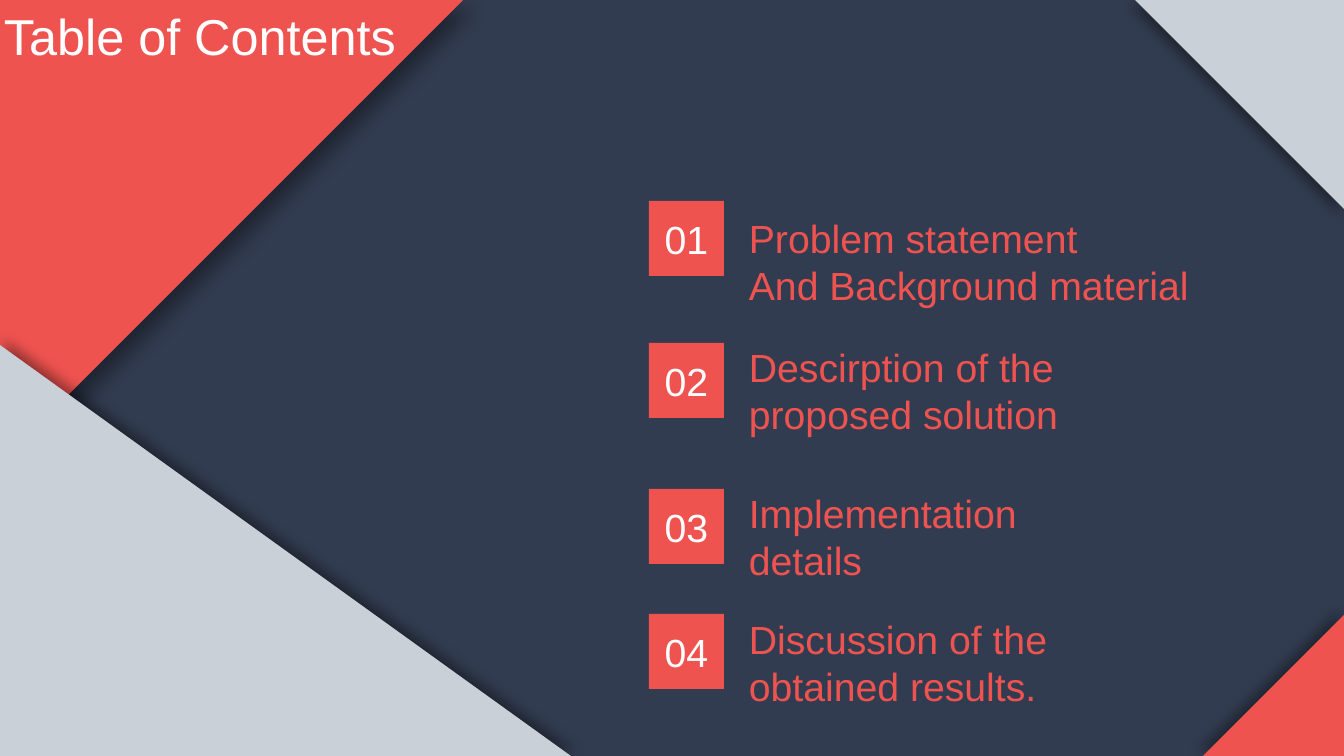
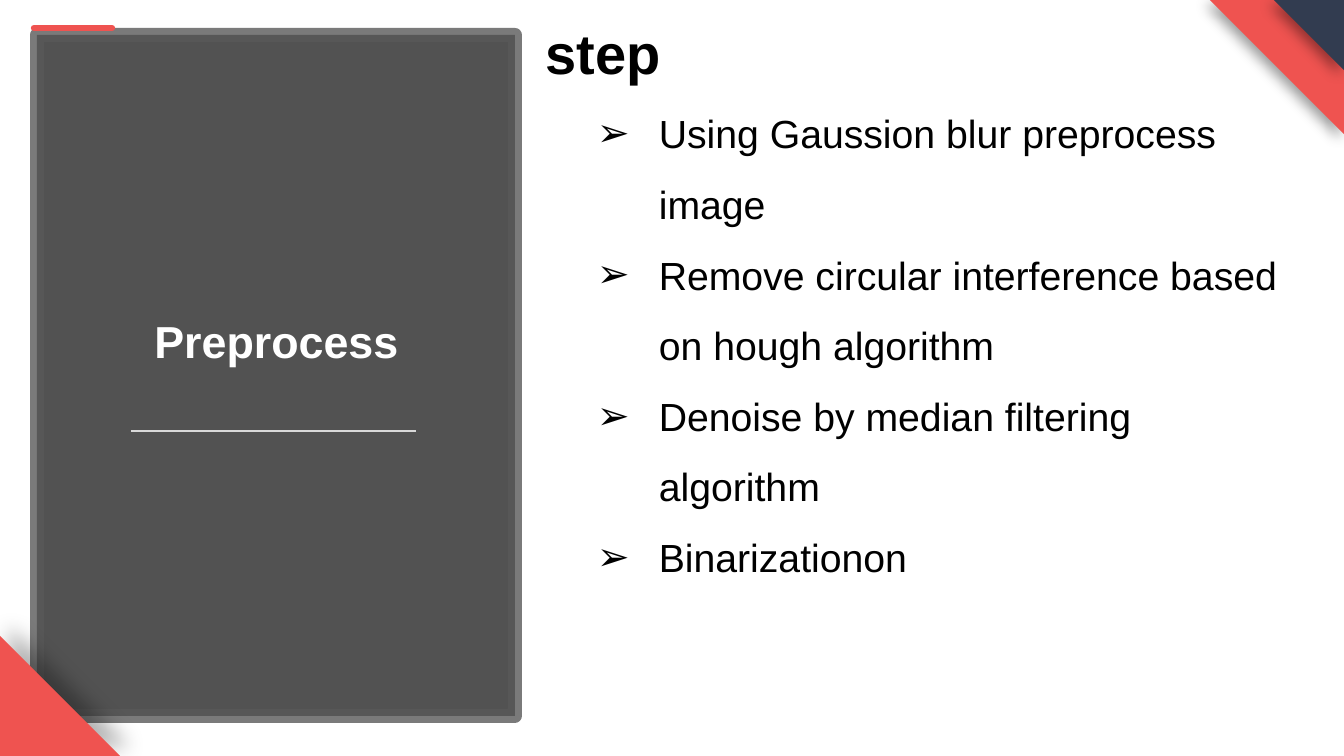
from lxml import etree
from pptx import Presentation
from pptx import util as u
from pptx.dml.color import RGBColor
from pptx.enum import shapes, text
from pptx.oxml.ns import qn

NAVY = RGBColor(0x32, 0x3C, 0x50)
CORAL = RGBColor(0xEF, 0x53, 0x50)
SILVER = RGBColor(0xCA, 0xD0, 0xD8)
DARK = RGBColor(0x40, 0x40, 0x40)
GREY = RGBColor(0x59, 0x59, 0x59)
PALE = RGBColor(0xD9, 0xD9, 0xD9)
WHITE = RGBColor(0xFF, 0xFF, 0xFF)
BLACK = RGBColor(0, 0, 0)

WIDE, HIGH = 1344, 756
SCALE = u.Inches(1) / 100.8
KIND = shapes.MSO_SHAPE
ALIGN = text.PP_ALIGN
ANCHOR = text.MSO_ANCHOR
BARE = {"margin_left": 0, "margin_right": 0}
BL, TL, TR, BR = 0, 90, 180, 270


def px(n):
    return u.Emu(round(n * SCALE))


def apply(item, form):
    for key, val in form.items():
        setattr(item, key, val)


def node(base, tag, **attrs):
    return etree.SubElement(base, qn(tag), {k: str(v) for k, v in attrs.items()})


class Deck:
    FACE = "Arial"

    def __init__(self):
        self.prs = Presentation()
        apply(self.prs, {"slide_width": px(WIDE), "slide_height": px(HIGH)})
        self.slide = None

    def page(self, color):
        self.slide = self.prs.slides.add_slide(self.prs.slide_layouts[6])
        fill = self.slide.background.fill
        fill.solid()
        fill.fore_color.rgb = color

    def shape(self, kind, box, color):
        item = self.slide.shapes.add_shape(kind, *map(px, box))
        item.shadow.inherit = False
        item.fill.solid()
        item.fill.fore_color.rgb = color
        item.line.fill.background()
        return item

    def fade(self, item, where, share):
        for color in item.element.spPr.xpath(where + "/a:srgbClr"):
            node(color, "a:alpha", val=share * 1000)

    def corner(self, turn, wide, high, color, alpha=40, blur=10, dist=5):
        left = WIDE - wide if turn in (TR, BR) else 0
        top = HIGH - high if turn in (BL, BR) else 0
        item = self.shape(KIND.RIGHT_TRIANGLE, (left, top, wide, high), color)
        item.rotation = turn
        cast = node(item.element.spPr.find(qn("a:effectLst")), "a:outerShdw",
                    blurRad=u.Pt(blur), dist=u.Pt(dist),
                    dir=(turn + 315) % 360 * 60000, rotWithShape=0)
        shade = node(cast, "a:srgbClr", val=BLACK)
        node(shade, "a:alpha", val=alpha * 1000)

    def panel(self, box):
        item = self.shape(KIND.RECTANGLE, box, DARK)
        item.line.color.rgb = GREY
        item.line.width = u.Pt(10)
        self.fade(item, "./a:solidFill", 90)
        self.fade(item, "./a:ln/a:solidFill", 80)

    def rule(self, left, right, y, color, width, cap="flat"):
        item = self.slide.shapes.add_connector(
            shapes.MSO_CONNECTOR.STRAIGHT, px(left), px(y), px(right), px(y))
        item.line.color.rgb = color
        item.line.width = u.Pt(width)
        item.line.fill.solid()
        item.line.color.rgb = color
        item.element.spPr.find(qn("a:ln")).set("cap", cap)
        node(item.element.spPr, "a:effectLst")

    def line(self, frame, words, size, color, bold=False, form=None):
        first = not frame.paragraphs[0].runs
        para = frame.paragraphs[0] if first else frame.add_paragraph()
        apply(para, form or {})
        run = para.add_run()
        run.text = words
        apply(run.font, {"name": self.FACE, "size": u.Pt(size), "bold": bold})
        run.font.color.rgb = color
        return para

    def frame(self, box, form=None):
        frame = self.slide.shapes.add_textbox(*map(px, box)).text_frame
        apply(frame, {"word_wrap": True, **(form or {})})
        return frame

    def badge(self, top, label):
        item = self.shape(KIND.RECTANGLE, (649, top, 75, 75), CORAL)
        apply(item.text_frame, {**BARE, "vertical_anchor": ANCHOR.MIDDLE})
        self.line(item.text_frame, label, 28, WHITE, form={"alignment": ALIGN.CENTER})

    def bullet(self, frame, words):
        para = self.line(frame, words, 28, BLACK, form={"level": 1, "line_spacing": 1.5})
        props = para._p.get_or_add_pPr()
        props.set("marL", str(px(113)))
        props.set("indent", str(-px(62)))
        node(props, "a:buFont", typeface=self.FACE)
        node(props, "a:buChar", char="➢")


def contents(deck):
    deck.page(NAVY)
    deck.corner(TR, 209, 209, SILVER)
    deck.corner(TL, 463, 463, CORAL, blur=15, dist=10)
    deck.corner(BR, 141, 141, CORAL)
    deck.corner(BL, 571, 411, SILVER)
    title = deck.frame((0, 0, 400, 132), BARE)
    deck.line(title, "Table of Contents", 36, WHITE, form={"alignment": ALIGN.CENTER})
    topics = [
        (201, 209, 564, ["Problem statement", "And Background material"]),
        (343, 338, 397, ["Descirption of the proposed solution"]),
        (489, 484, 297, ["Implementation details"]),
        (614, 610, 381, ["Discussion of the obtained results."]),
    ]
    for num, (top, high, wide, lines) in enumerate(topics, 1):
        deck.badge(top, f"{num:02}")
        frame = deck.frame((739, high, wide, 105))
        for words in lines:
            deck.line(frame, words, 28, CORAL)


def steps(deck):
    deck.page(WHITE)
    deck.panel((37, 35, 478, 681))
    label = deck.frame((75, 101, 403, 272), {"vertical_anchor": ANCHOR.BOTTOM})
    deck.line(label, "Preprocess", 32, WHITE, True, {
        "alignment": ALIGN.CENTER, "line_spacing": 0.9, "space_after": u.Pt(6)})
    deck.rule(131, 416, 431, PALE, 1.75)
    deck.corner(TR, 134, 134, CORAL)
    deck.corner(BL, 120, 120, CORAL, alpha=30, blur=15, dist=10)
    deck.corner(TR, 70, 70, NAVY)
    deck.rule(34, 112, 28, CORAL, 4.5, "rnd")
    body = deck.frame((536, 14, 756, 568))
    deck.line(body, "step", 40, BLACK, True)
    for words in (
        "Using Gaussion blur preprocess image",
        "Remove circular interference based on hough algorithm",
        "Denoise by median filtering algorithm",
        "Binarizationon",
    ):
        deck.bullet(body, words)


def main():
    deck = Deck()
    contents(deck)
    steps(deck)
    deck.prs.save("out.pptx")


if __name__ == "__main__":
    main()
